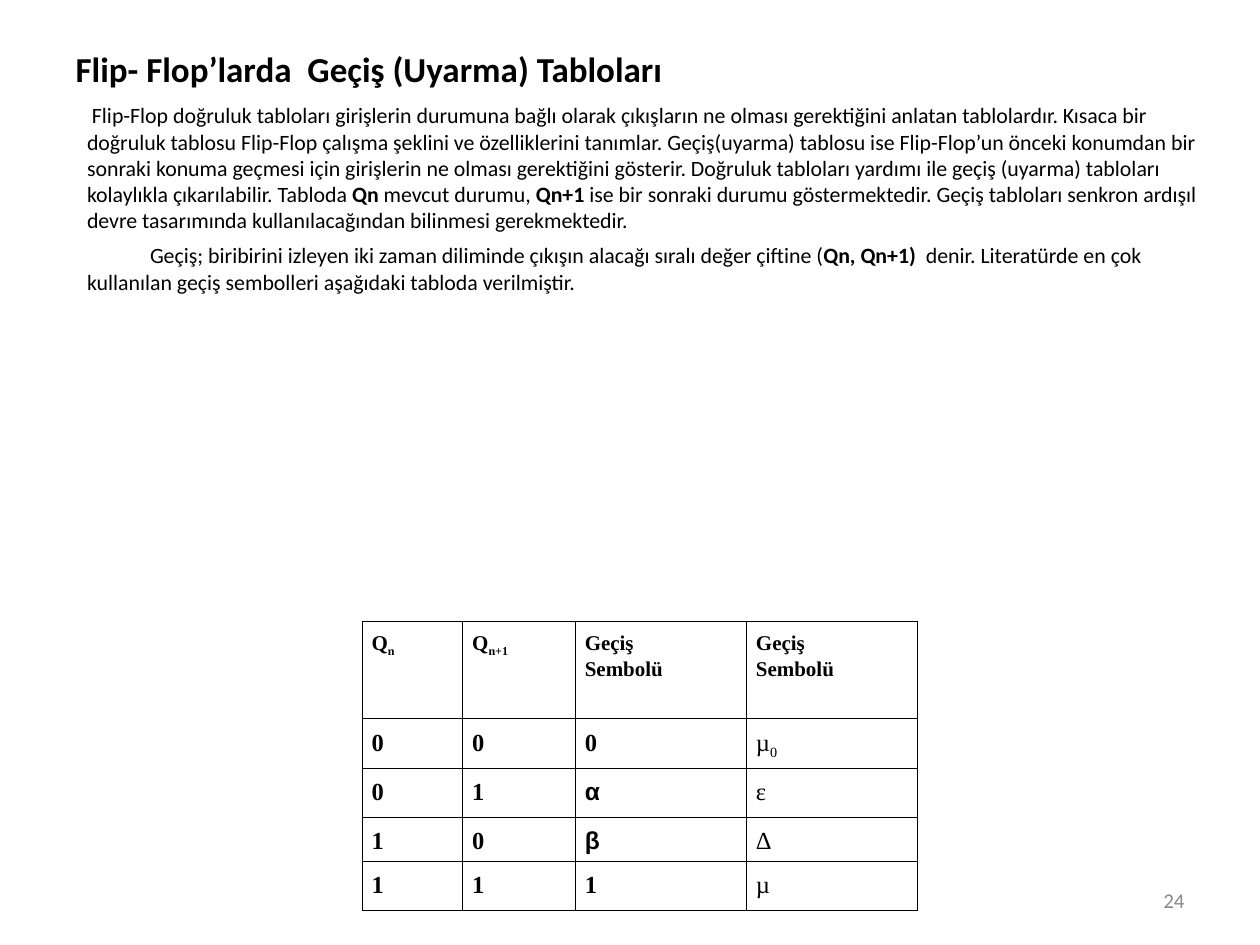
from dataclasses import dataclass

from lxml import etree
from pptx import Presentation
from pptx.dml.color import RGBColor
from pptx.enum.text import MSO_ANCHOR, MSO_AUTO_SIZE, PP_ALIGN
from pptx.oxml.ns import qn
from pptx.util import Cm, Pt

LEFT, RIGHT, JUSTIFY = PP_ALIGN.LEFT, PP_ALIGN.RIGHT, PP_ALIGN.JUSTIFY
BOTTOM, MIDDLE, TOP = MSO_ANCHOR.BOTTOM, MSO_ANCHOR.MIDDLE, MSO_ANCHOR.TOP
NO_AUTOFIT = MSO_AUTO_SIZE.NONE


@dataclass(frozen=True)
class Theme:
    ink: str = "000000"
    muted: str = "898989"
    sans: str = "Calibri"
    serif: str = "Times New Roman"
    greek: str = "Arial"
    title_size: float = 20
    body_size: float = 12.5
    header_size: float = 12
    value_size: float = 14
    number_size: float = 12
    border: float = 0.45


class SlideBuilder:
    def __init__(self, slide, theme):
        self.slide = slide
        self.theme = theme

    def place(self, shape, box):
        shape.left, shape.top, shape.width, shape.height = (Cm(v) for v in box)

    def style(self, run, size, face=None, bold=False, color=None):
        font = run.font
        font.size, font.bold = Pt(size), bold
        font.name = face or self.theme.sans
        font.color.rgb = RGBColor.from_string(color or self.theme.ink)

    def title(self, text, box):
        heading = self.slide.shapes.title
        self.place(heading, box)
        frame = heading.text_frame
        frame.text = text
        frame.auto_size, frame.vertical_anchor = NO_AUTOFIT, BOTTOM
        frame.paragraphs[0].alignment = LEFT
        self.style(frame.paragraphs[0].runs[0], self.theme.title_size, bold=True)

    def body(self, paragraphs, box, tab):
        """Fill the body placeholder; each paragraph is a list of (text, bold)."""
        body = self.slide.placeholders[1]
        self.place(body, box)
        frame = body.text_frame
        frame.auto_size, frame.vertical_anchor = NO_AUTOFIT, TOP
        for index, pieces in enumerate(paragraphs):
            paragraph = frame.add_paragraph() if index else frame.paragraphs[0]
            props = paragraph._p.get_or_add_pPr()
            props.set("marL", "0")
            props.set("indent", "0")
            etree.SubElement(props, qn("a:buNone"))
            tabs = etree.SubElement(props, qn("a:tabLst"))
            etree.SubElement(tabs, qn("a:tab"), pos=str(Cm(tab)), algn="l")
            paragraph.alignment = LEFT
            paragraph.space_before = Pt(5 if index else 0)
            for text, bold in pieces:
                run = paragraph.add_run()
                run.text = text
                self.style(run, self.theme.body_size, bold=bold)

    def table(self, rows, box, widths, heights):
        frame = self.slide.shapes.add_table(
            len(rows), len(widths), *(Cm(v) for v in box))
        table = frame.table
        table.first_row = table.horz_banding = False
        for column, width in zip(table.columns, widths):
            column.width = Cm(width)
        for row, height in zip(table.rows, heights):
            row.height = Cm(height)
        for r, values in enumerate(rows):
            for c, value in enumerate(values):
                size = self.theme.value_size if r else self.theme.header_size
                bold = r == 0 or c < len(widths) - 1
                self.cell(table.cell(r, c), value, size, bold)

    def cell(self, cell, value, size, bold):
        """Write a cell; "_" in the value starts a subscript."""
        cell.margin_left = cell.margin_right = Cm(0.19)
        cell.margin_top = cell.margin_bottom = Cm(0.13)
        cell.fill.background()
        self.borders(cell)
        base, _, subscript = value.partition("_")
        cell.text_frame.text = base
        if subscript:
            run = cell.text_frame.paragraphs[0].add_run()
            run.text = subscript
            run._r.get_or_add_rPr().set("baseline", "-25000")
        face = self.theme.greek if base in ("α", "β") else self.theme.serif
        for paragraph in cell.text_frame.paragraphs:
            paragraph.alignment, paragraph.line_spacing = JUSTIFY, 1.15
            for run in paragraph.runs:
                self.style(run, size, face, bold)

    def borders(self, cell):
        props = cell._tc.get_or_add_tcPr()
        for index, side in enumerate(("a:lnL", "a:lnR", "a:lnT", "a:lnB")):
            line = etree.Element(qn(side), w=str(Pt(self.theme.border)))
            fill = etree.SubElement(line, qn("a:solidFill"))
            etree.SubElement(fill, qn("a:srgbClr"), val=self.theme.ink)
            props.insert(index, line)

    def page_number(self, text, box):
        number = self.slide.shapes.add_textbox(*(Cm(v) for v in box))
        frame = number.text_frame
        frame.word_wrap, frame.vertical_anchor = True, MIDDLE
        frame.text = text
        frame.paragraphs[0].alignment = RIGHT
        self.style(frame.paragraphs[0].runs[0], self.theme.number_size,
                   color=self.theme.muted)


EXPLANATION = [
    [
        (" ", True),
        ("Flip-Flop doğruluk tabloları girişlerin durumuna bağlı olarak "
         "çıkışların ne olması gerektiğini anlatan tablolardır. Kısaca bir "
         "doğruluk tablosu Flip-Flop çalışma şeklini ve özelliklerini tanımlar. "
         "Geçiş(uyarma) tablosu ise Flip-Flop’un önceki konumdan bir sonraki "
         "konuma geçmesi için girişlerin ne olması gerektiğini gösterir. "
         "Doğruluk tabloları yardımı ile geçiş (uyarma) tabloları kolaylıkla "
         "çıkarılabilir. Tabloda ", False),
        ("Qn", True),
        (" mevcut durumu, ", False),
        ("Qn+1", True),
        (" ise bir sonraki durumu göstermektedir. Geçiş tabloları senkron "
         "ardışıl devre tasarımında kullanılacağından bilinmesi "
         "gerekmektedir.", False),
    ],
    [
        ("\tGeçiş; biribirini izleyen iki zaman diliminde çıkışın alacağı "
         "sıralı değer çiftine (", False),
        ("Qn, Qn+1)  ", True),
        ("denir. Literatürde en çok kullanılan geçiş sembolleri aşağıdaki "
         "tabloda verilmiştir.", False),
    ],
]

TRANSITIONS = [
    ("Q_n", "Q_n+1", "Geçiş\nSembolü", "Geçiş\nSembolü"),
    ("0", "0", "0", "µ_0"),
    ("0", "1", "α", "ɛ"),
    ("1", "0", "β", "Δ"),
    ("1", "1", "1", "µ"),
]


def main():
    deck = Presentation()
    deck.slide_width, deck.slide_height = Cm(25.4), Cm(19.05)
    slide = deck.slides.add_slide(deck.slide_layouts[1])
    builder = SlideBuilder(slide, Theme())
    builder.title("Flip- Flop’larda  Geçiş (Uyarma) Tabloları",
                  (1.27, 0.76, 22.83, 1.17))
    builder.body(EXPLANATION, (1.5, 1.93, 23.42, 4.6), tab=2.54)
    builder.table(TRANSITIONS, (7.3, 12.53, 11.2, 5.8),
                  widths=(2.03, 2.27, 3.45, 3.45),
                  heights=(1.96, 0.99, 0.99, 0.87, 0.99))
    builder.page_number("24", (18.2, 17.65, 5.93, 1.01))
    deck.save("out.pptx")


if __name__ == "__main__":
    main()
